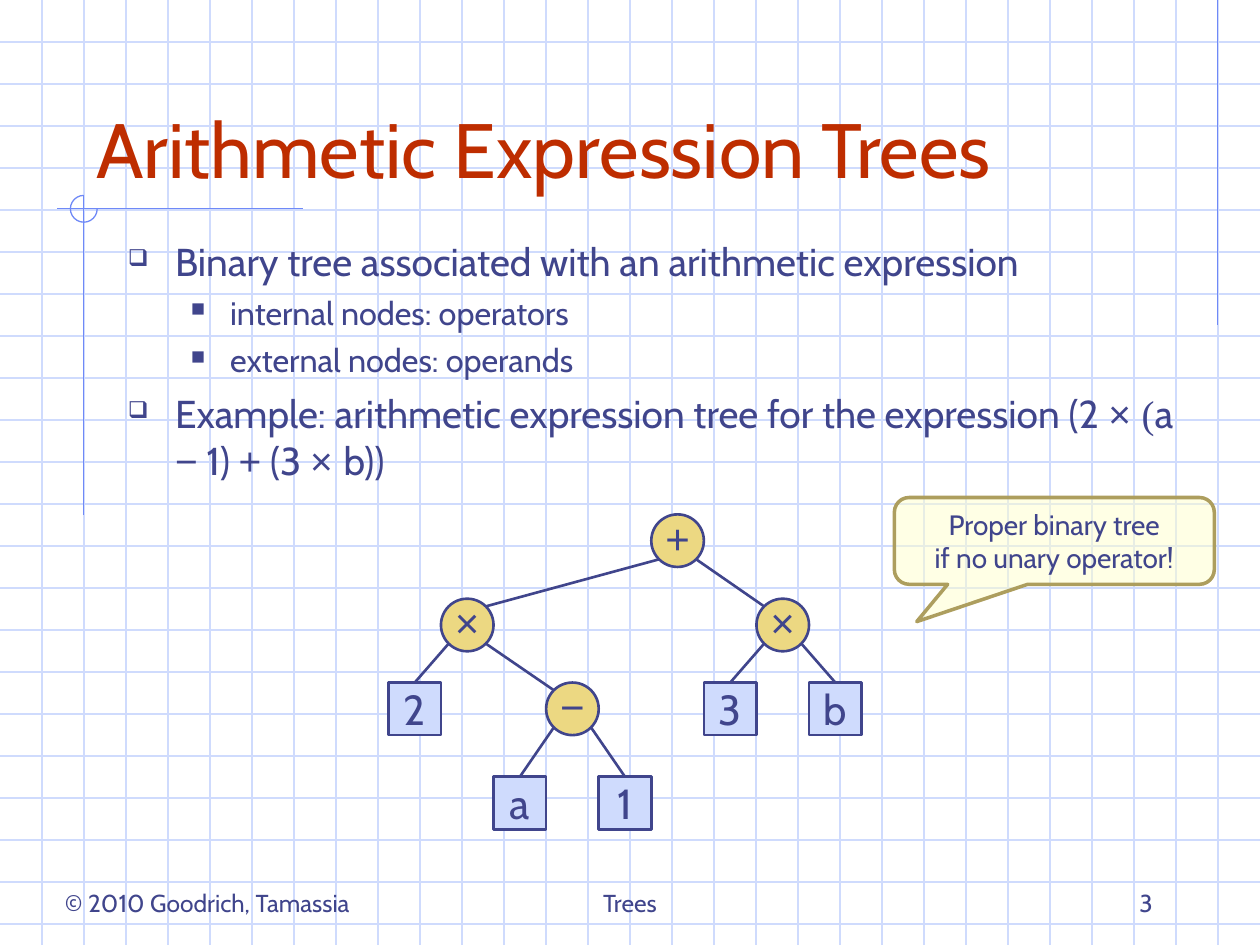
from lxml import etree
from pptx import Presentation
from pptx.dml.color import RGBColor
from pptx.enum.shapes import MSO_CONNECTOR, MSO_SHAPE
from pptx.enum.text import MSO_ANCHOR, MSO_AUTO_SIZE, PP_ALIGN
from pptx.oxml.ns import qn
from pptx.util import Cm, Pt

STRAIGHT = MSO_CONNECTOR.STRAIGHT
LEFT, CENTER, RIGHT = PP_ALIGN.LEFT, PP_ALIGN.CENTER, PP_ALIGN.RIGHT
TOP, MIDDLE, BOTTOM = MSO_ANCHOR.TOP, MSO_ANCHOR.MIDDLE, MSO_ANCHOR.BOTTOM

INK, GRID, ACCENT, RED = "40458C", "CFDBFD", "6F89F7", "BE2D00"
FONT, SYMBOL_FONT, PAREN_FONT = "Cabin", "Arial", "Times New Roman"

# All lengths are in centimetres.
PAGE_WIDTH, PAGE_HEIGHT = 25.4, 19.05
GRID_STEP = 2.54 / 3

TITLE = "Arithmetic Expression Trees"
EXAMPLE = [
    ("Example: arithmetic expression tree for the expression (2 ", FONT),
    ("× ", SYMBOL_FONT), ("(", PAREN_FONT), ("a ", FONT), ("−", SYMBOL_FONT),
    (" 1) ", FONT), ("+", SYMBOL_FONT), (" (3 ", FONT), ("× ", SYMBOL_FONT),
    ("b))", FONT),
]
BODY = [  # level, spans
    (0, [("Binary tree associated with an arithmetic expression", FONT)]),
    (1, [("internal nodes: operators", FONT)]),
    (1, [("external nodes: operands", FONT)]),
    (0, EXAMPLE),
]
LEVELS = [
    {"bullet": "❑", "margin": 0.95, "hanging": 0.95, "size": 22.2, "before": 6},
    {"bullet": "■", "margin": 2.06, "hanging": 0.79, "size": 18.5, "before": 5},
]
CALLOUT = ["Proper binary tree", "if no unary operator!"]
FOOTERS = [  # text, left, width, alignment
    ("© 2010 Goodrich, Tamassia", 1.06, 6.98, LEFT),
    ("Trees", 8.68, 8.04, CENTER),
    ("3", 18.2, 5.29, RIGHT),
]

# An operator is (symbol, left subtree, right subtree); an operand is a string.
TREE = ("+", ("×", "2", ("−", "a", "1")), ("×", "3", "b"))
NODE_SIZE = 1.06
TREE_LEFT = 7.83
ROW_TOPS = [10.37, 12.07, 13.76, 15.66]


def color(value):
    return RGBColor.from_string(value)


def add_line(page, start, end, line_color, width=0.75):
    line = page.shapes.add_connector(STRAIGHT, *[Cm(v) for v in (*start, *end)])
    line.line.color.rgb = color(line_color)
    line.line.width = Pt(width)
    etree.SubElement(line.element.spPr, qn("a:effectLst"))
    return line


def add_shape(page, kind, place, fill, line_color, width):
    shape = page.shapes.add_shape(kind, *[Cm(v) for v in place])
    shape.shadow.inherit = False
    if fill:
        shape.fill.solid()
        shape.fill.fore_color.rgb = color(fill)
    else:
        shape.fill.background()
    shape.line.color.rgb = color(line_color)
    shape.line.width = Pt(width)
    return shape


def set_frame(box, anchor=TOP, wrap=True, insets=(0.25, 0.13, 0.25, 0.13)):
    frame = box.text_frame
    frame.auto_size = MSO_AUTO_SIZE.NONE
    frame.word_wrap = wrap
    frame.vertical_anchor = anchor
    (frame.margin_left, frame.margin_top,
     frame.margin_right, frame.margin_bottom) = [Cm(v) for v in insets]
    return frame


def add_span(para, text, size, font=FONT, font_color=INK):
    span = para.add_run()
    span.text = text
    span.font.name = font
    span.font.size = Pt(size)
    span.font.color.rgb = color(font_color)


def write(box, lines, size, align=LEFT, font=FONT, font_color=INK, **frame_format):
    frame = set_frame(box, **frame_format)
    for index, text in enumerate(lines):
        para = frame.add_paragraph() if index else frame.paragraphs[0]
        para.alignment = align
        add_span(para, text, size, font, font_color)


def add_bullet(para, bullet, margin, hanging):
    properties = para._p.get_or_add_pPr()
    properties.set("marL", str(Cm(margin)))
    properties.set("indent", str(-Cm(hanging)))
    bullet_color = etree.SubElement(properties, qn("a:buClr"))
    etree.SubElement(bullet_color, qn("a:srgbClr"), val=INK)
    etree.SubElement(properties, qn("a:buSzPct"), val="60000")
    etree.SubElement(properties, qn("a:buChar"), char=bullet)


def add_backdrop(page):
    """Draw the squared paper and its accents; return the topmost shape."""
    for row in range(1, int(PAGE_HEIGHT / GRID_STEP) + 1):
        y = row * GRID_STEP
        add_line(page, (0, y), (PAGE_WIDTH, y), GRID)
    for column in range(1, 30):
        x = column * GRID_STEP
        add_line(page, (x, 0), (x, PAGE_HEIGHT), GRID)
    add_line(page, (24.55, 0), (24.55, 6.55), ACCENT)
    add_line(page, (6.1, 4.21), (1.15, 4.21), ACCENT)
    add_line(page, (1.69, 3.94), (1.69, 10.39), ACCENT)
    arc = add_shape(page, MSO_SHAPE.ARC, (1.42, 3.94, 0.54, 0.54), None, ACCENT, 0.75)
    arc.adjustments[0], arc.adjustments[1] = 0, 162  # 0 to 270 degrees
    return arc


def add_body(page):
    box = page.shapes.add_textbox(Cm(2.33), Cm(4.66), Cm(21.59), Cm(5.5))
    frame = set_frame(box)
    for index, (level, spans) in enumerate(BODY):
        style = LEVELS[level]
        para = frame.add_paragraph() if index else frame.paragraphs[0]
        para.level = level
        para.space_before = Pt(style["before"] if index else 0)
        add_bullet(para, style["bullet"], style["margin"], style["hanging"])
        for text, font in spans:
            add_span(para, text, style["size"], font)


def add_tree(page, tree, column=0, depth=0):
    """Place nodes in columns by in-order position; return node, centre, next column."""
    if isinstance(tree, str):
        symbol, children = tree, []
    else:
        symbol, left, right = tree
        left_child = add_tree(page, left, column, depth + 1)
        column = left_child[2]
        right_child = add_tree(page, right, column + 1, depth + 1)
        children = [(-1, left, left_child), (1, right, right_child)]

    x, y = TREE_LEFT + column * NODE_SIZE, ROW_TOPS[depth]
    place = (x, y, NODE_SIZE, NODE_SIZE)
    center = (x + NODE_SIZE / 2, y + NODE_SIZE / 2)
    if not children:
        node = add_shape(page, MSO_SHAPE.RECTANGLE, place, GRID, INK, 1.5)
        write(node, [symbol], 24, CENTER, anchor=MIDDLE, wrap=False)
        return node, center, column + 1

    node = add_shape(page, MSO_SHAPE.OVAL, place, "ECD882", INK, 1.5)
    write(node, [symbol], 24, CENTER, SYMBOL_FONT, anchor=MIDDLE, wrap=False,
          insets=(0, 0, 0, 0.13))
    reach = NODE_SIZE / 2 * 0.71  # circle's edge at 45 degrees
    for side, subtree, (child, (child_x, child_y), _) in children:
        start = (center[0] + side * reach, center[1] + reach)
        end = (child_x - side * reach, child_y - reach)
        edge = add_line(page, start, end, INK, 1.5)
        if isinstance(subtree, str):
            edge.end_connect(child, 0)
    return node, center, children[1][2][2]


def add_callout(page):
    callout = add_shape(page, MSO_SHAPE.ROUNDED_RECTANGULAR_CALLOUT,
                        (18.03, 10.03, 6.45, 1.75), "FFFFCC", "AD9E5E", 2)
    for index, value in enumerate((-0.43, 0.93, 0.17)):
        callout.adjustments[index] = value
    fill = callout.element.spPr.find(qn("a:solidFill"))
    etree.SubElement(fill[0], qn("a:alpha"), val="50000")
    write(callout, CALLOUT, 16, CENTER, anchor=MIDDLE, wrap=False)


def main():
    deck = Presentation()
    deck.slide_width, deck.slide_height = Cm(PAGE_WIDTH), Cm(PAGE_HEIGHT)
    page = deck.slides.add_slide(deck.slide_layouts[5])

    backdrop_top = add_backdrop(page)
    title = page.shapes.title
    backdrop_top.element.addnext(title.element)
    title.left, title.top, title.width, title.height = Cm(1.69), Cm(0.85), Cm(21.59), Cm(3.18)
    write(title, [TITLE], 44, font_color=RED, anchor=BOTTOM)

    add_body(page)
    add_tree(page, TREE)
    add_callout(page)
    for text, left, width, align in FOOTERS:
        box = page.shapes.add_textbox(Cm(left), Cm(17.36), Cm(width), Cm(1.27))
        write(box, [text], 14, align, anchor=BOTTOM)
    deck.save("out.pptx")


if __name__ == "__main__":
    main()
